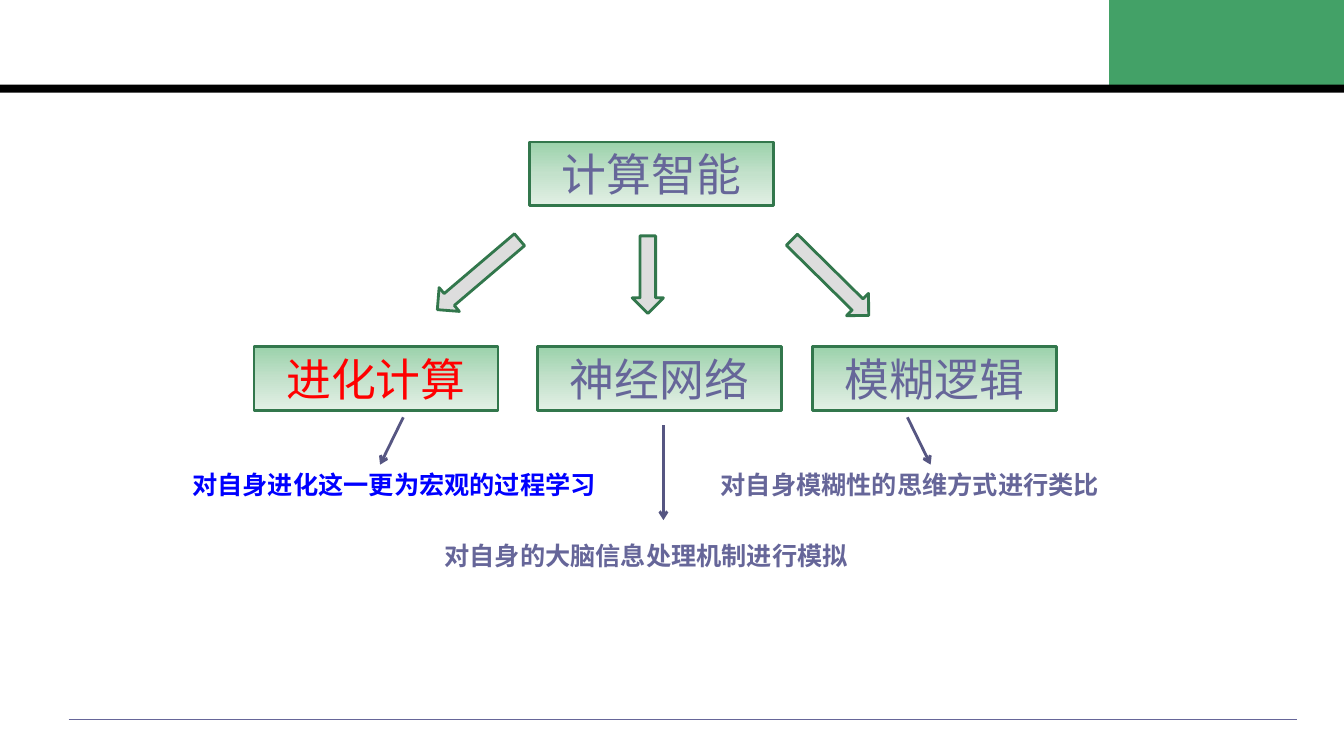
import copy
from typing import NamedTuple

import pptx
import pptx.dml.color
import pptx.enum.shapes
import pptx.enum.text
import pptx.oxml
import pptx.oxml.ns
import pptx.util

EMU_PER_PX = 9144  # 100 px to the inch
INDIGO, GREEN_EDGE = "666699", "32774C"
BOX_SHADES = ["9BD2AB", "C3E1CB", "E2F0E5"]
BOX_SIZE = (242, 63)
ARROW_HEIGHT = 31
SHAPES = pptx.enum.shapes.MSO_SHAPE


class ConceptBox(NamedTuple):
    text: str
    left: int
    top: int
    color: str = INDIGO


class BlockArrow(NamedTuple):
    left: int
    top: int
    width: int
    rotation: float


class Caption(NamedTuple):
    text: str
    left: int
    top: int
    width: int
    color: str = INDIGO


class Line(NamedTuple):
    start: tuple[int, int]
    end: tuple[int, int]
    color: str = "565682"
    weight: float = 2
    arrow: bool = True


CONCEPTS = [
    ConceptBox("计算智能", 525, 141),
    ConceptBox("进化计算", 252, 344, "FF0000"),
    ConceptBox("神经网络", 533, 344),
    ConceptBox("模糊逻辑", 806, 344),
]
BRANCHES = [
    BlockArrow(421, 257, 107, 139.6),
    BlockArrow(604, 257, 77, 90),
    BlockArrow(770, 260, 107, 44.6),
]
CAPTIONS = [
    Caption("对自身的大脑信息处理机制进行模拟", 431, 531, 427),
    Caption("对自身模糊性的思维方式进行类比", 705, 461, 401),
    Caption("对自身进化这一更为宏观的过程学习", 181, 461, 427, "0000FF"),
]
POINTERS = [
    Line((400, 414), (377, 461)),
    Line((658, 422), (658, 516)),
    Line((900, 414), (923, 461)),
]
FOOTER_RULE = Line((68, 714), (1286, 714), INDIGO, 0.75, False)


def px(*lengths: float) -> list[int]:
    return [pptx.util.Emu(round(length * EMU_PER_PX)) for length in lengths]


def rgb(color: str) -> pptx.dml.color.RGBColor:
    return pptx.dml.color.RGBColor.from_string(color)


def add_block(slide, preset, left: int, top: int, width: int, height: int,
              fill: str | None = None, edge: str | None = None):
    block = slide.shapes.add_shape(preset, *px(left, top, width, height))
    block.shadow.inherit = False
    if fill:
        block.fill.solid()
        block.fill.fore_color.rgb = rgb(fill)
    if edge:
        block.line.color.rgb = rgb(edge)
        block.line.width = pptx.util.Pt(2)
    else:
        block.line.fill.background()
    return block


def write_text(frame, text: str, size: int, font_name: str, color: str,
               bold: bool = False) -> None:
    paragraph = frame.paragraphs[0]
    paragraph.text = text
    font = paragraph.font
    font.size = pptx.util.Pt(size)
    font.bold = bold
    font.color.rgb = rgb(color)
    font.name = font_name


def add_concept(slide, concept: ConceptBox) -> None:
    box = add_block(slide, SHAPES.RECTANGLE, concept.left, concept.top,
                    *BOX_SIZE, edge=GREEN_EDGE)
    box.fill.gradient()
    stop_list = box._element.spPr.find(".//" + pptx.oxml.ns.qn("a:gsLst"))
    stop_list.append(copy.deepcopy(stop_list[0]))
    for index, (stop, shade) in enumerate(zip(box.fill.gradient_stops, BOX_SHADES)):
        stop.color.rgb = rgb(shade)
        stop.position = index / 2
    box.fill.gradient_angle = 270
    frame = box.text_frame
    frame.word_wrap = False
    frame.vertical_anchor = pptx.enum.text.MSO_ANCHOR.MIDDLE
    write_text(frame, concept.text, 32, "DejaVu Sans", concept.color)
    frame.paragraphs[0].alignment = pptx.enum.text.PP_ALIGN.CENTER


def add_branch(slide, branch: BlockArrow) -> None:
    arrow = add_block(slide, SHAPES.RIGHT_ARROW, branch.left, branch.top,
                      branch.width, ARROW_HEIGHT, "DDDDDD", GREEN_EDGE)
    arrow.rotation = branch.rotation


def add_caption(slide, caption: Caption) -> None:
    frame = slide.shapes.add_textbox(
        *px(caption.left, caption.top, caption.width, 40)).text_frame
    frame.word_wrap = False
    frame.auto_size = pptx.enum.text.MSO_AUTO_SIZE.SHAPE_TO_FIT_TEXT
    write_text(frame, caption.text, 18, "Arial", caption.color, bold=True)


def add_line(slide, line: Line) -> None:
    connector = slide.shapes.add_connector(
        pptx.enum.shapes.MSO_CONNECTOR.STRAIGHT, *px(*line.start, *line.end))
    connector.line.color.rgb = rgb(line.color)
    connector.line.width = pptx.util.Pt(line.weight)
    properties = connector._element.spPr
    if line.arrow:
        head = pptx.oxml.parse_xml(
            f'<a:tailEnd {pptx.oxml.ns.nsdecls("a")} type="arrow"/>')
        properties.find(pptx.oxml.ns.qn("a:ln")).append(head)
    properties.append(pptx.oxml.parse_xml(
        f'<a:effectLst {pptx.oxml.ns.nsdecls("a")}/>'))


def main() -> None:
    deck = pptx.Presentation()
    deck.slide_width, deck.slide_height = px(1333, 750)
    slide = deck.slides.add_slide(deck.slide_layouts[6])

    # Page frame
    add_block(slide, SHAPES.RECTANGLE, 1100, -2, 236, 87, "43A167")
    add_block(slide, SHAPES.RECTANGLE, 0, 84, 1333, 8, "000000")
    add_line(slide, FOOTER_RULE)

    # Concept tree
    for concept in CONCEPTS:
        add_concept(slide, concept)
    for branch in BRANCHES:
        add_branch(slide, branch)

    # Explanations
    for caption in CAPTIONS:
        add_caption(slide, caption)
    for pointer in POINTERS:
        add_line(slide, pointer)

    deck.save("out.pptx")


if __name__ == "__main__":
    main()
